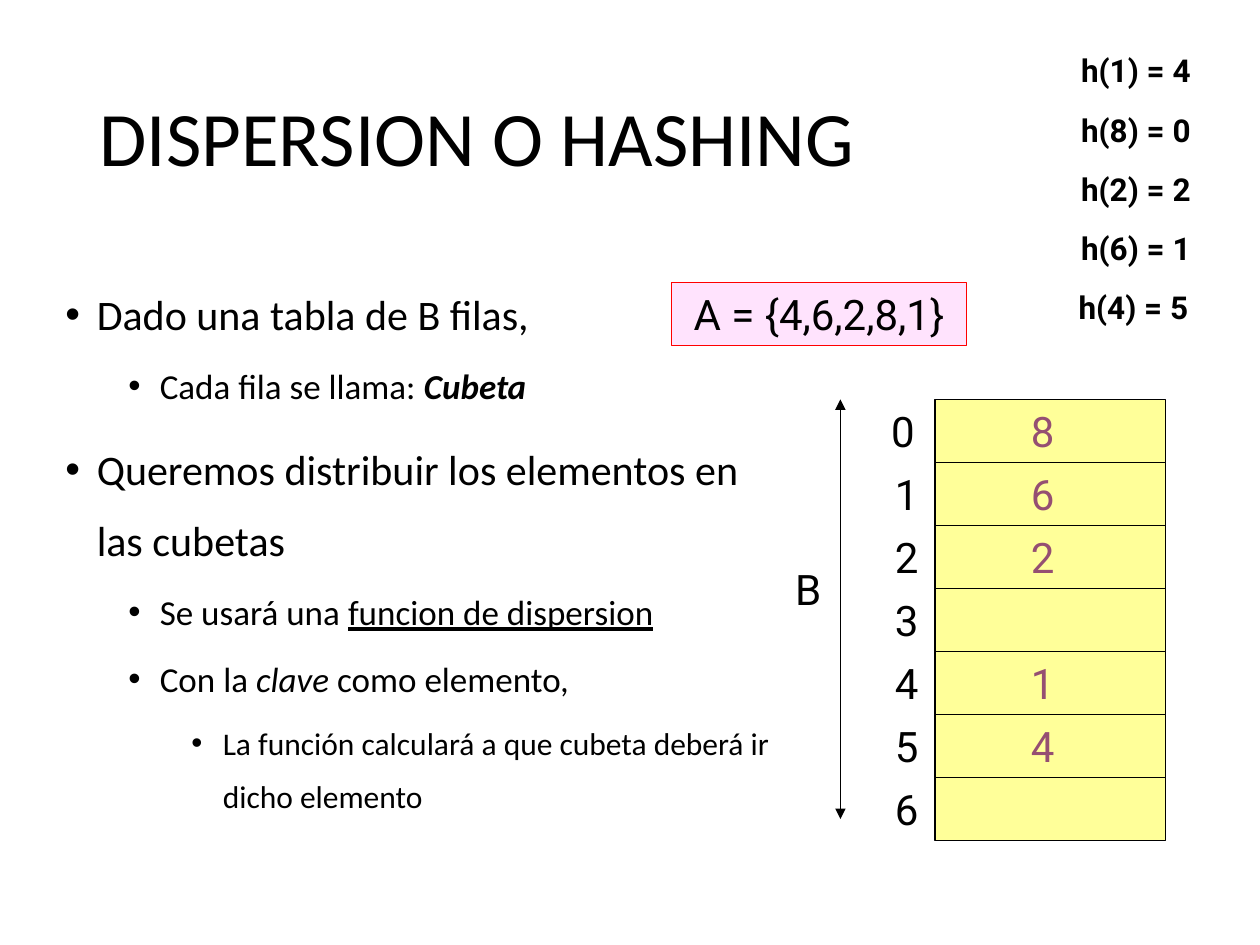
from lxml import etree
from pptx import Presentation
from pptx.dml.color import RGBColor
from pptx.enum.shapes import MSO_CONNECTOR, MSO_SHAPE
from pptx.enum.text import MSO_ANCHOR, MSO_AUTO_SIZE, PP_ALIGN
from pptx.oxml.ns import qn
from pptx.util import Inches, Pt

RECT = MSO_SHAPE.RECTANGLE
STRAIGHT = MSO_CONNECTOR.STRAIGHT
LEFT, CENTER = PP_ALIGN.LEFT, PP_ALIGN.CENTER
MIDDLE, TOP = MSO_ANCHOR.MIDDLE, MSO_ANCHOR.TOP
NO_FIT = MSO_AUTO_SIZE.NONE

COLORS = {
    "text": "000000",
    "key": "954F72",
    "set_fill": "FFE3FD",
    "set_line": "FF0000",
    "bucket": "FFFF99",
    "white": "FFFFFF",
}

# Bullets: level, then runs of (text, style)
BULLETS = [
    (0, [("Dado una tabla de B filas,", "")]),
    (1, [("Cada fila se llama: ", ""), ("Cubeta", "bi")]),
    (0, [("Queremos distribuir los elementos en las cubetas", "")]),
    (1, [("Se usará una ", ""), ("funcion de dispersion", "u")]),
    (1, [("Con la ", ""), ("clave", "i"), (" como elemento,", "")]),
    (2, [("La función calculará a que cubeta deberá ir dicho elemento", "")]),
]
LEVEL_SIZES = [24, 20, 18]
LEVEL_SPACES = [10, 5, 5]

HASHES = [(1, 4), (8, 0), (2, 2), (6, 1), (4, 5)]
BUCKET_COUNT = 7
TABLE_TOP, ROW = 3.17, 0.5


def rgb(name):
    return RGBColor.from_string(COLORS[name])


def style_font(font, size, name, color="text", bold=False):
    font.size = Pt(size)
    font.name = name
    font.bold = bold
    font.color.rgb = rgb(color)


def add_title(s, text):
    title = s.shapes.title
    title.left, title.top = Inches(0.69), Inches(0.4)
    title.width, title.height = Inches(8.63), Inches(1.45)
    tf = title.text_frame
    tf.text = text
    tf.vertical_anchor = MIDDLE
    p = tf.paragraphs[0]
    p.alignment = LEFT
    p.line_spacing = 0.9
    style_font(p.runs[0].font, 44, "Calibri")


def add_bullets(s):
    tf = s.shapes.add_textbox(Inches(0.42), Inches(2.08), Inches(5.83), Inches(4.5)).text_frame
    tf.word_wrap = True
    for i, (level, runs) in enumerate(BULLETS):
        p = tf.paragraphs[0] if i == 0 else tf.add_paragraph()
        p.level = level
        p.line_spacing = 1.4
        p.space_before = Pt(LEVEL_SPACES[level] if i else 0)
        # Hanging bullet
        pPr = p._p.get_or_add_pPr()
        pPr.set("marL", str(Inches(0.25 + 0.5 * level)))
        pPr.set("indent", str(Inches(-0.25)))
        color = etree.SubElement(pPr, qn("a:buClr"))
        etree.SubElement(color, qn("a:srgbClr")).set("val", COLORS["text"])
        etree.SubElement(pPr, qn("a:buFont")).set("typeface", "Arial")
        etree.SubElement(pPr, qn("a:buChar")).set("char", "•")
        for text, style in runs:
            r = p.add_run()
            r.text = text
            style_font(r.font, LEVEL_SIZES[level], "Calibri", bold="b" in style)
            r.font.italic = "i" in style
            r.font.underline = "u" in style


def set_label(sp, text, size=24, color="text", bold=False):
    tf = sp.text_frame
    tf.text = text
    tf.word_wrap = False
    tf.auto_size = NO_FIT
    tf.vertical_anchor = TOP
    p = tf.paragraphs[0]
    p.alignment = CENTER
    style_font(p.runs[0].font, size, "Roboto", color, bold)


def add_label(s, x, y, w, text, color="text"):
    sp = s.shapes.add_textbox(Inches(x), Inches(y), Inches(w), Inches(ROW))
    set_label(sp, text, color=color)


def add_rect(s, x, y, w, h, fill, line=None):
    sp = s.shapes.add_shape(RECT, Inches(x), Inches(y), Inches(w), Inches(h))
    sp.shadow.inherit = False
    sp.fill.solid()
    sp.fill.fore_color.rgb = rgb(fill)
    if line:
        sp.line.color.rgb = rgb(line)
        sp.line.width = Pt(0.75)
    else:
        sp.line.fill.background()
    return sp


def add_double_arrow(s, x, y1, y2):
    line = s.shapes.add_connector(STRAIGHT, Inches(x), Inches(y1), Inches(x), Inches(y2))
    line.line.color.rgb = rgb("text")
    line.line.width = Pt(0.75)
    ln = line.line._get_or_add_ln()
    for end in ("a:headEnd", "a:tailEnd"):
        etree.SubElement(ln, qn(end)).set("type", "triangle")
    etree.SubElement(line._element.spPr, qn("a:effectLst"))


def add_bucket_table(s):
    for i in range(BUCKET_COUNT):
        y = TABLE_TOP + i * ROW
        add_rect(s, 7.42, y, 1.83, ROW, "bucket", "text")
        add_label(s, 7 if i else 6.97, y, 0.39, str(i))


def add_hashes(s):
    last = len(HASHES) - 1
    for i, (key, bucket) in enumerate(HASHES):
        x = 8.45 if i == last else 8.47
        sp = add_rect(s, x, 0.36 + 0.47 * i, 1.09, 0.4, "white")
        set_label(sp, f"h({key}) = {bucket}", size=18, bold=True)
        # Key stored in its bucket
        add_label(s, 8.08, TABLE_TOP + bucket * ROW, 0.39, str(key), "key")


def main():
    prs = Presentation()
    prs.slide_width, prs.slide_height = Inches(10), Inches(7.5)
    s = prs.slides.add_slide(prs.slide_layouts[5])

    add_title(s, "DISPERSION O HASHING")
    add_bullets(s)

    # Set of keys
    key_set = add_rect(s, 5.33, 2.24, 2.34, 0.5, "set_fill", "set_line")
    set_label(key_set, "A = {4,6,2,8,1}")

    # Table height B
    add_double_arrow(s, 6.67, TABLE_TOP, 6.5)
    add_label(s, 6.21, 4.42, 0.41, "B")

    add_bucket_table(s)
    add_hashes(s)
    prs.save("out.pptx")


if __name__ == "__main__":
    main()
